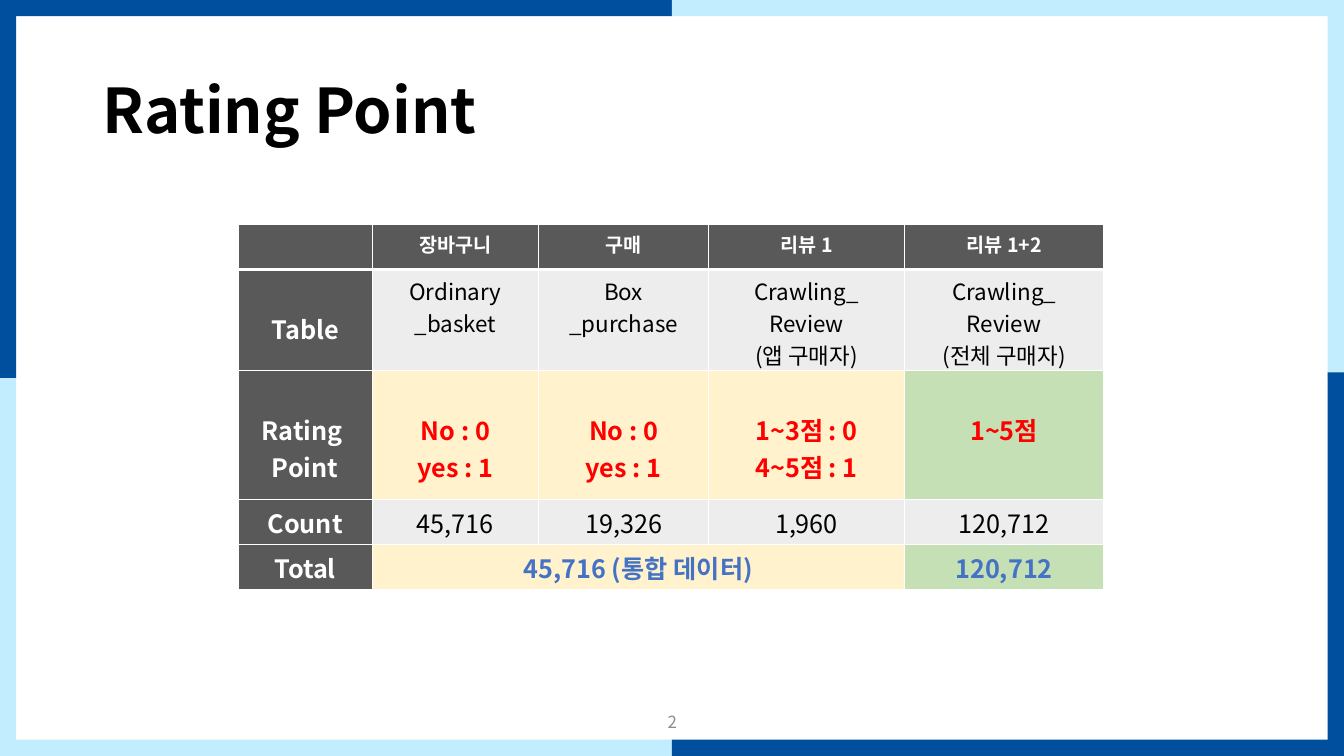
import pptx
import pptx.dml.color
import pptx.enum.shapes
import pptx.enum.text
import pptx.util
from lxml import etree
from pptx.oxml.ns import qn

Cm = pptx.util.Cm
Pt = pptx.util.Pt
ALIGN = pptx.enum.text.PP_ALIGN
MIDDLE = pptx.enum.text.MSO_ANCHOR.MIDDLE
FACE = "Noto Sans CJK KR"
WIDE, HIGH = 33.87, 19.05

HUES = {
    "navy": "004F9E", "sky": "C2EDFE", "white": "FFFFFF", "black": "000000",
    "slate": "595959", "mist": "EDEDED", "cream": "FFF2CC", "mint": "C5E0B4",
    "red": "FF0000", "blue": "4472C4", "gray": "8C8C8C",
}

# Each look: font values, then text colour
LOOKS = {
    "title": ({"size": Pt(44), "bold": True}, "black"),
    "page": ({"size": Pt(12), "bold": False}, "gray"),
    "head": ({"size": Pt(14), "bold": True}, "white"),
    "side": ({"size": Pt(18), "bold": True}, "white"),
    "name": ({"size": Pt(16), "bold": False}, "black"),
    "score": ({"size": Pt(18), "bold": True}, "red"),
    "count": ({"size": Pt(18), "bold": False}, "black"),
    "total": ({"size": Pt(18), "bold": True}, "blue"),
}

COLS = [3.38, 4.19, 4.29, 4.93, 5.03]
# Each row: height, look, fills of the data cells, texts
ROWS = [
    (1.14, "head", ["slate"] * 4,
     ["", "장바구니", "구매", "리뷰 1", "리뷰 1+2"]),
    (2.54, "name", ["mist"] * 4,
     ["Table", "Ordinary\n_basket", "Box\n_purchase",
      "Crawling_\nReview\n(앱 구매자)", "Crawling_\nReview\n(전체 구매자)"]),
    (3.25, "score", ["cream"] * 3 + ["mint"],
     ["Rating \nPoint", "No : 0\nyes : 1", "No : 0\nyes : 1",
      "1~3점 : 0\n4~5점 : 1", "1~5점"]),
    (1.14, "count", ["mist"] * 4,
     ["Count", "45,716", "19,326", "1,960", "120,712"]),
    (1.14, "total", ["cream"] * 3 + ["mint"],
     ["Total", "45,716 (통합 데이터)", "", "", "120,712"]),
]
DROP = 1.04  # top inset that lowers text by one line


def tint(hue):
    return pptx.dml.color.RGBColor.from_string(HUES[hue])


def write(frame, text, look, align):
    frame.text = text
    values, hue = LOOKS[look]
    for para in frame.paragraphs:
        para.alignment = align
        for run in para.runs:
            for key, value in values.items():
                setattr(run.font, key, value)
            run.font.color.rgb = tint(hue)
            run.font.name = FACE
            east = etree.SubElement(run.font._element, qn("a:ea"))
            east.set("typeface", FACE)


def place(shape, box):
    for key, value in zip(("left", "top", "width", "height"), box):
        setattr(shape, key, Cm(value))


def edge(cell, widths):
    props = cell._tc.get_or_add_tcPr()
    for spot, (side, width) in enumerate(zip("LRTB", widths)):
        line = etree.Element(qn(f"a:ln{side}"), w=str(Pt(width)))
        fill = etree.SubElement(line, qn("a:solidFill"))
        etree.SubElement(fill, qn("a:srgbClr"), val=HUES["white"])
        props.insert(spot, line)


def border(slide, box):
    left, top, width, height = box
    thick = 0.41
    half, mid = width / 2, height / 2
    right, low = left + width - thick, top + height - thick
    bars = [
        (left, top, half, thick, "navy"),
        (left + half, top, half, thick, "sky"),
        (left, low, half, thick, "sky"),
        (left + half, low, half, thick, "navy"),
        (left, top, thick, mid, "navy"),
        (left, top + mid, thick, mid, "sky"),
        (right, top, thick, mid, "sky"),
        (right, top + mid - 0.14, thick, mid, "navy"),
    ]
    for *spot, hue in bars:
        bar = slide.shapes.add_shape(
            pptx.enum.shapes.MSO_SHAPE.RECTANGLE, *map(Cm, spot))
        bar.shadow.inherit = False
        bar.fill.solid()
        bar.fill.fore_color.rgb = tint(hue)
        bar.line.fill.background()


def title(slide, box):
    head = slide.shapes.title
    place(head, box)
    write(head.text_frame, "Rating Point", "title", ALIGN.LEFT)
    head.text_frame.vertical_anchor = MIDDLE
    head.text_frame.paragraphs[0].line_spacing = 0.9


def number(slide, box):
    frame = slide.shapes.add_textbox(*map(Cm, box)).text_frame
    frame.word_wrap = True
    frame.vertical_anchor = MIDDLE
    write(frame, "2", "page", ALIGN.CENTER)


def grid(slide, box):
    table = slide.shapes.add_table(
        len(ROWS), len(COLS), *map(Cm, box)).table
    table.horz_banding = False
    for col, width in zip(table.columns, COLS):
        col.width = Cm(width)
    for r, (height, look, fills, texts) in enumerate(ROWS):
        table.rows[r].height = Cm(height)
        for c, (hue, text) in enumerate(zip(["slate"] + fills, texts)):
            cell = table.cell(r, c)
            cell.fill.solid()
            cell.fill.fore_color.rgb = tint(hue)
            # Thick rule under the header row
            edge(cell, (1, 1, 3 if r == 1 else 1, 3 if r == 0 else 1))
            if look == "score" or text == "Table":
                cell.margin_top = Cm(DROP)
            if text:
                kind = "side" if c == 0 else look
                write(cell.text_frame, text, kind, ALIGN.CENTER)
    # Joint total of the first three sources
    last = len(ROWS) - 1
    table.cell(last, 1).merge(table.cell(last, 3))


def main():
    deck = pptx.Presentation()
    deck.slide_width, deck.slide_height = Cm(WIDE), Cm(HIGH)
    slide = deck.slides.add_slide(deck.slide_layouts[5])
    border(slide, (0, 0, WIDE, HIGH))
    title(slide, (2.33, 1.01, 29.21, 3.68))
    number(slide, (13.13, 17.68, 7.62, 1.01))
    grid(slide, (6, 5.65, sum(COLS), sum(row[0] for row in ROWS)))
    deck.save("out.pptx")


if __name__ == "__main__":
    main()
